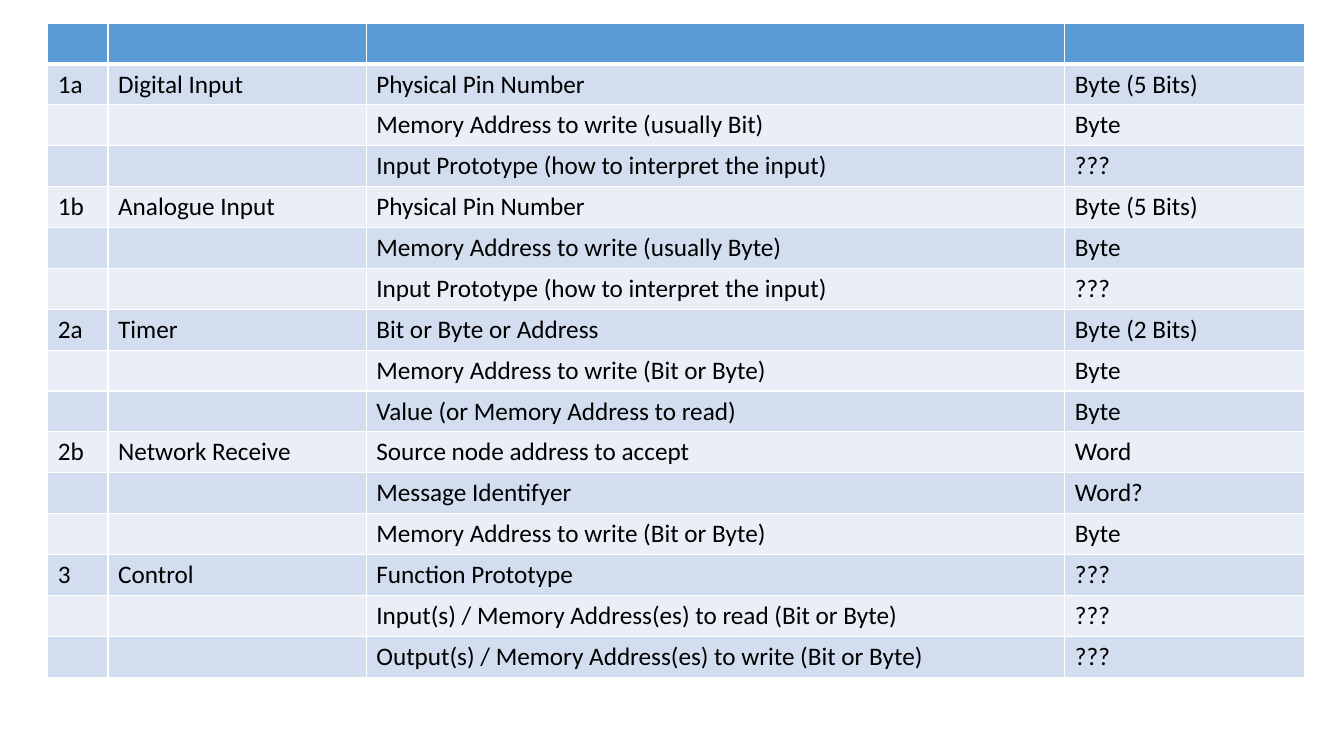
import pptx
import pptx.dml.color
import pptx.oxml
import pptx.oxml.ns
import pptx.util

Pt = pptx.util.Pt
Color = pptx.dml.color.RGBColor.from_string

# Each group: number, name, then its fields with their sizes
GROUPS = [
    ("1a", "Digital Input", [
        ("Physical Pin Number", "Byte (5 Bits)"),
        ("Memory Address to write (usually Bit)", "Byte"),
        ("Input Prototype (how to interpret the input)", "???")]),
    ("1b", "Analogue Input", [
        ("Physical Pin Number", "Byte (5 Bits)"),
        ("Memory Address to write (usually Byte)", "Byte"),
        ("Input Prototype (how to interpret the input)", "???")]),
    ("2a", "Timer", [
        ("Bit or Byte or Address", "Byte (2 Bits)"),
        ("Memory Address to write (Bit or Byte)", "Byte"),
        ("Value (or Memory Address to read)", "Byte")]),
    ("2b", "Network Receive", [
        ("Source node address to accept", "Word"),
        ("Message Identifyer", "Word?"),
        ("Memory Address to write (Bit or Byte)", "Byte")]),
    ("3", "Control", [
        ("Function Prototype", "???"),
        ("Input(s) / Memory Address(es) to read (Bit or Byte)", "???"),
        ("Output(s) / Memory Address(es) to write (Bit or Byte)", "???")]),
]
THEME = {
    "head": "5B9BD5", "bands": ("EAEFF7", "D2DEEF"), "rule": "FFFFFF",
    "thin": 1, "thick": 3,
    "font": {"name": "Calibri", "size": Pt(18)}, "text": "000000",
}
LEFT, TOP, HIGH = 34.2, 16.5, 29.2
WIDTHS = (43, 184.5, 499, 171)


def lay_rows():
    """List the table rows, naming each group on its first row only."""
    rows = [("",) * len(WIDTHS)]
    for mark, name, fields in GROUPS:
        for i, field in enumerate(fields):
            rows.append((("", "") if i else (mark, name)) + field)
    return rows


def rule(cell, side, width):
    """Draw one border of a cell."""
    space = pptx.oxml.ns.nsdecls("a")
    cell._tc.get_or_add_tcPr().append(pptx.oxml.parse_xml(
        f'<a:ln{side} {space} w="{Pt(width)}"><a:solidFill>'
        f'<a:srgbClr val="{THEME["rule"]}"/></a:solidFill></a:ln{side}>'))


def style(cell, row, text):
    """Set the borders, fill and text of a cell in the given row."""
    thick = {(0, "B"), (1, "T")}
    for side in "LRTB":
        rule(cell, side, THEME["thick" if (row, side) in thick else "thin"])
    cell.fill.solid()
    shade = THEME["bands"][row % 2] if row else THEME["head"]
    cell.fill.fore_color.rgb = Color(shade)
    cell.text = text
    font = cell.text_frame.paragraphs[0].font
    for key, value in THEME["font"].items():
        setattr(font, key, value)
    font.color.rgb = Color(THEME["text"])


def build():
    """Build the slide with its table and save it."""
    deck = pptx.Presentation()
    deck.slide_width, deck.slide_height = Pt(960), Pt(540)
    slide = deck.slides.add_slide(deck.slide_layouts[6])
    rows = lay_rows()
    table = slide.shapes.add_table(
        len(rows), len(WIDTHS), Pt(LEFT), Pt(TOP),
        Pt(sum(WIDTHS)), Pt(HIGH * len(rows))).table
    for column, width in zip(table.columns, WIDTHS):
        column.width = Pt(width)
    for r, row in enumerate(rows):
        table.rows[r].height = Pt(HIGH)
        for c, text in enumerate(row):
            style(table.cell(r, c), r, text)
    deck.save("out.pptx")


build()
